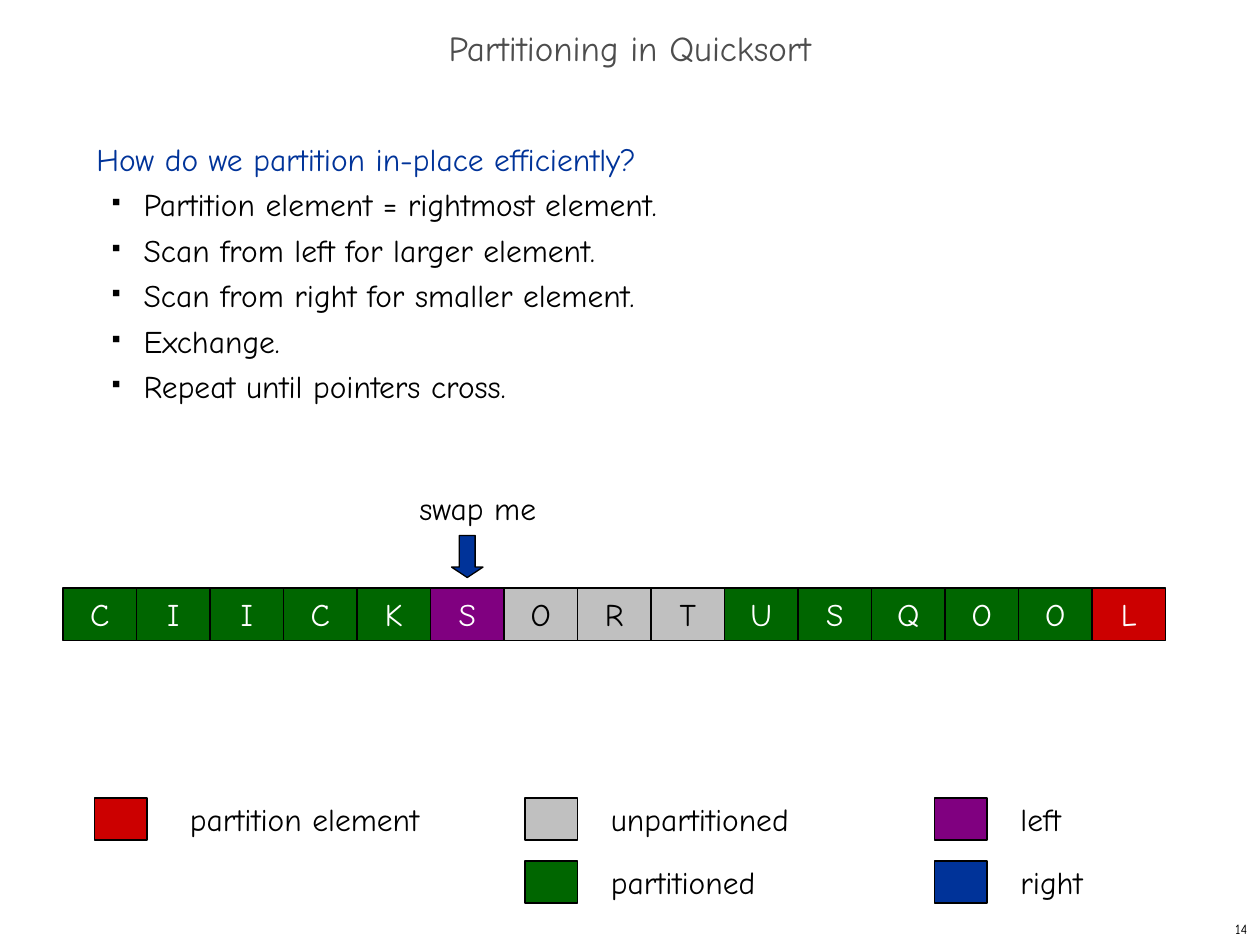
from dataclasses import dataclass

from lxml.etree import SubElement
from pptx import Presentation
from pptx.dml.color import RGBColor
from pptx.enum.shapes import MSO_SHAPE as Preset
from pptx.enum.text import MSO_ANCHOR as Anchor, PP_ALIGN as Align
from pptx.oxml.ns import qn
from pptx.util import Emu, Pt

EMU_PER_PX = 7620
FONT = "Comic Neue"
BLACK = RGBColor(0x00, 0x00, 0x00)
WHITE = RGBColor(0xFF, 0xFF, 0xFF)
CHARCOAL = RGBColor(0x4D, 0x4D, 0x4D)
RED = RGBColor(0xCC, 0x00, 0x00)
GREEN = RGBColor(0x00, 0x66, 0x00)
GRAY = RGBColor(0xC0, 0xC0, 0xC0)
PURPLE = RGBColor(0x80, 0x00, 0x80)
BLUE = RGBColor(0x00, 0x33, 0x99)


@dataclass(frozen=True)
class Box:
    left: int
    top: int
    width: int
    height: int

    def emu(self) -> tuple:
        return tuple(px(n) for n in (self.left, self.top, self.width, self.height))


@dataclass(frozen=True)
class CellRun:
    letters: str
    fill: RGBColor
    color: RGBColor = WHITE


@dataclass(frozen=True)
class LegendEntry:
    label: str
    fill: RGBColor
    left: int
    top: int
    label_width: int
    align: Align = Align.LEFT


CELL_RUNS = (
    CellRun("CIICK", GREEN),
    CellRun("S", PURPLE),
    CellRun("ORT", GRAY, BLACK),
    CellRun("USQOO", GREEN),
    CellRun("L", RED),
)
LEGEND = (
    LegendEntry("partition element", RED, 90, 760, 260, Align.CENTER),
    LegendEntry("unpartitioned", GRAY, 500, 760, 260),
    LegendEntry("partitioned", GREEN, 500, 820, 260),
    LegendEntry("left", PURPLE, 890, 760, 130),
    LegendEntry("right", BLUE, 890, 820, 130),
)
QUESTION = "How do we partition in-place efficiently?"
STEPS = (
    "Partition element = rightmost element.",
    "Scan from left for larger element.",
    "Scan from right for smaller element.",
    "Exchange.",
    "Repeat until pointers cross.",
)


def px(length: int) -> Emu:
    """Turn px into EMU."""
    return Emu(length * EMU_PER_PX)


def add_run(paragraph, text: str, color: RGBColor, size: int = 18) -> None:
    """Append one styled run to a paragraph."""
    run = paragraph.add_run()
    run.text = text
    run.font.name = FONT
    run.font.size = Pt(size)
    run.font.color.rgb = color


def add_text(slide, box: Box, text: str, color: RGBColor = BLACK, size: int = 18,
             align: Align = Align.LEFT, anchor: Anchor = Anchor.MIDDLE):
    """Add a one-paragraph text box and return its text frame."""
    frame = slide.shapes.add_textbox(*box.emu()).text_frame
    frame.word_wrap = True
    frame.vertical_anchor = anchor
    frame.paragraphs[0].alignment = align
    add_run(frame.paragraphs[0], text, color, size)
    return frame


def add_outlined(slide, preset: Preset, box: Box, fill: RGBColor):
    """Add a filled shape with a thin black outline."""
    shape = slide.shapes.add_shape(preset, *box.emu())
    shape.shadow.inherit = False
    shape.fill.solid()
    shape.fill.fore_color.rgb = fill
    shape.line.color.rgb = BLACK
    shape.line.width = Pt(0.75)
    return shape


def add_cells(slide, left: int, top: int, width: int, height: int) -> None:
    """Draw the array as a row of adjoining lettered cells."""
    cells = [(letter, run) for run in CELL_RUNS for letter in run.letters]
    for index, (letter, run) in enumerate(cells):
        box = Box(left + index * width, top, width, height)
        frame = add_outlined(slide, Preset.RECTANGLE, box, run.fill).text_frame
        frame.vertical_anchor = Anchor.MIDDLE
        paragraph = frame.paragraphs[0]
        paragraph.alignment = Align.CENTER
        add_run(paragraph, letter, run.color)


def add_legend_entry(slide, entry: LegendEntry) -> None:
    """Draw a colour swatch and its label."""
    swatch = Box(entry.left, entry.top, 50, 40)
    label = Box(entry.left + 70, entry.top, entry.label_width, 40)
    add_outlined(slide, Preset.RECTANGLE, swatch, entry.fill)
    add_text(slide, label, entry.label, align=entry.align)


def add_bullet(paragraph) -> None:
    """Give a paragraph a small black square bullet with a hanging indent."""
    properties = paragraph._p.get_or_add_pPr()
    properties.set("marL", str(px(45)))
    properties.set("indent", str(px(-30)))
    color = SubElement(properties, qn("a:buClr"))
    SubElement(color, qn("a:srgbClr"), val=str(BLACK))
    SubElement(properties, qn("a:buSzPct"), val="35000")
    SubElement(properties, qn("a:buChar"), char="■")


def add_steps(slide) -> None:
    """Write the question and the bulleted steps of the partitioning."""
    frame = add_text(slide, Box(80, 120, 1030, 320), QUESTION, BLUE, anchor=Anchor.TOP)
    for step in STEPS:
        paragraph = frame.add_paragraph()
        paragraph.level = 1
        add_bullet(paragraph)
        add_run(paragraph, step, BLACK)
    for paragraph in frame.paragraphs:
        paragraph.line_spacing = Pt(26)


def main() -> None:
    """Build the slide and save it."""
    presentation = Presentation()
    presentation.slide_width, presentation.slide_height = px(1200), px(900)
    slide = presentation.slides.add_slide(presentation.slide_layouts[6])

    title = add_text(slide, Box(0, 20, 1200, 60), "Partitioning in Quicksort",
                     CHARCOAL, 20, Align.CENTER)
    title.paragraphs[0].line_spacing = 0.7
    add_steps(slide)

    arrow = add_outlined(slide, Preset.DOWN_ARROW, Box(430, 510, 30, 40), BLUE)
    arrow.adjustments[0], arrow.adjustments[1] = 0.5, 0.33
    add_text(slide, Box(370, 460, 170, 48), "swap me",
             align=Align.CENTER, anchor=Anchor.TOP)
    add_cells(slide, 60, 560, 70, 50)

    for entry in LEGEND:
        add_legend_entry(slide, entry)
    add_text(slide, Box(950, 870, 250, 30), "14", size=8, align=Align.RIGHT)
    presentation.save("out.pptx")


if __name__ == "__main__":
    main()
